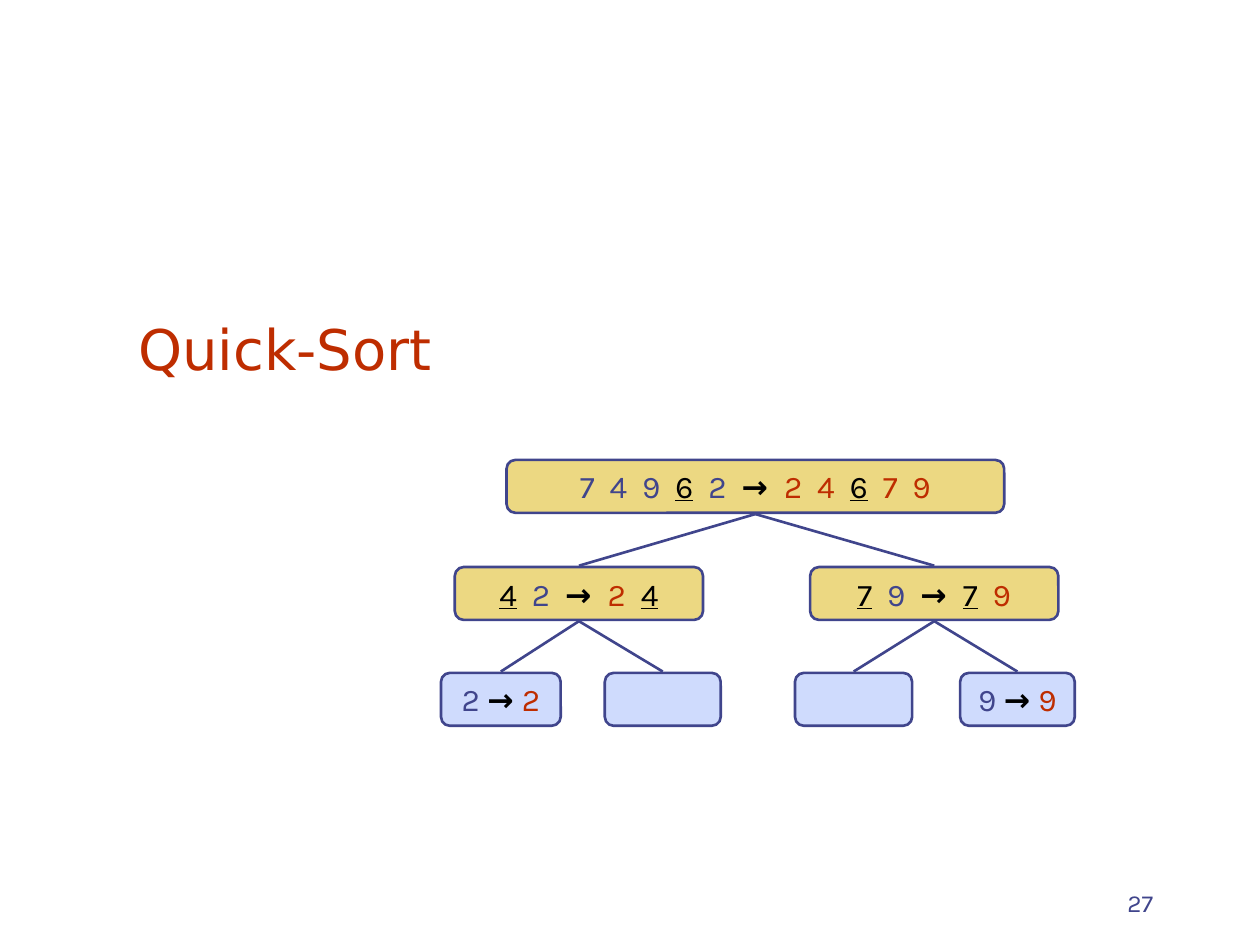
from dataclasses import dataclass

import lxml.etree
import pptx
import pptx.dml.color
import pptx.enum.shapes
import pptx.enum.text
import pptx.oxml.ns
import pptx.util

Inches = pptx.util.Inches
Align = pptx.enum.text.PP_ALIGN
Anchor = pptx.enum.text.MSO_ANCHOR

COLORS = {
    "indigo": "40458C",
    "red": "BE2D00",
    "black": "000000",
    "gold": "ECD882",
    "pale blue": "CFDBFD",
}
ROLES = {
    "input": {"color": "indigo"},
    "output": {"color": "red"},
    "pivot": {"color": "black", "underline": True},
    "arrow": {"color": "black", "bold": True},
}
LEVEL_TOPS = (3.65, 4.5, 5.34)
NODE_HEIGHT = 0.42
EDGE_GAP = 0.01


@dataclass(frozen=True)
class Node:
    left: float
    width: float
    level: int
    fill: str
    runs: tuple = ()
    children: tuple = ()

    @property
    def center(self) -> float:
        return self.left + self.width / 2

    @property
    def top(self) -> float:
        return LEVEL_TOPS[self.level]


TREE = Node(
    4.02, 3.95, 0, "gold",
    (("7  4  9  ", "input"), ("6", "pivot"), ("  2  ", "input"), ("→  ", "arrow"),
     ("2  4  ", "output"), ("6", "pivot"), ("  7  9", "output")),
    (
        Node(
            3.61, 1.97, 1, "gold",
            (("4", "pivot"), ("  2  ", "input"), ("→  ", "arrow"),
             ("2  ", "output"), ("4", "pivot")),
            (
                Node(3.5, 0.95, 2, "pale blue",
                     (("2 ", "input"), ("→ ", "arrow"), ("2", "output"))),
                Node(4.8, 0.92, 2, "pale blue"),
            ),
        ),
        Node(
            6.43, 1.97, 1, "gold",
            (("7", "pivot"), ("  9  ", "input"), ("→  ", "arrow"),
             ("7", "pivot"), ("  9", "output")),
            (
                Node(6.31, 0.93, 2, "pale blue"),
                Node(7.62, 0.91, 2, "pale blue",
                     (("9 ", "input"), ("→ ", "arrow"), ("9", "output"))),
            ),
        ),
    ),
)


def rgb(name: str) -> pptx.dml.color.RGBColor:
    return pptx.dml.color.RGBColor.from_string(COLORS[name])


def add_text(paragraph, text: str, *, color: str, size: int = 18, font: str = "Karla",
             bold: bool = False, underline: bool = False) -> None:
    run = paragraph.add_run()
    run.text = text
    run.font.name = font
    run.font.size = pptx.util.Pt(size)
    run.font.bold = bold
    run.font.underline = underline
    run.font.color.rgb = rgb(color)


def add_label(slide, text: str, left: float, top: float, width: float, height: float,
              alignment: Align, **text_format) -> None:
    shape = slide.shapes.add_textbox(Inches(left), Inches(top), Inches(width), Inches(height))
    shape.text_frame.word_wrap = True
    shape.text_frame.vertical_anchor = Anchor.BOTTOM
    paragraph = shape.text_frame.paragraphs[0]
    paragraph.alignment = alignment
    add_text(paragraph, text, **text_format)


def style_line(line) -> None:
    line.color.rgb = rgb("indigo")
    line.width = pptx.util.Pt(1.5)


def draw_node(slide, node: Node) -> None:
    shape = slide.shapes.add_shape(
        pptx.enum.shapes.MSO_SHAPE.ROUNDED_RECTANGLE,
        Inches(node.left), Inches(node.top), Inches(node.width), Inches(NODE_HEIGHT))
    shape.adjustments[0] = 0.167
    shape.shadow.inherit = False
    shape.fill.solid()
    shape.fill.fore_color.rgb = rgb(node.fill)
    style_line(shape.line)
    shape.text_frame.word_wrap = False
    shape.text_frame.vertical_anchor = Anchor.MIDDLE
    paragraph = shape.text_frame.paragraphs[0]
    paragraph.alignment = Align.CENTER
    for text, role in node.runs:
        add_text(paragraph, text, **ROLES[role])


def draw_edge(slide, parent: Node, child: Node) -> None:
    connector = slide.shapes.add_connector(
        pptx.enum.shapes.MSO_CONNECTOR.STRAIGHT,
        Inches(parent.center), Inches(parent.top + NODE_HEIGHT + EDGE_GAP),
        Inches(child.center), Inches(child.top - EDGE_GAP))
    style_line(connector.line)
    lxml.etree.SubElement(connector._element.spPr, pptx.oxml.ns.qn("a:effectLst"))


def draw_tree(slide, node: Node) -> None:
    draw_node(slide, node)
    for child in node.children:
        draw_edge(slide, node, child)
        draw_tree(slide, child)


def main() -> None:
    presentation = pptx.Presentation()
    presentation.slide_width = Inches(10)
    presentation.slide_height = Inches(7.5)
    slide = presentation.slides.add_slide(presentation.slide_layouts[6])
    add_label(slide, "27", 7.17, 6.83, 2.08, 0.5, Align.RIGHT, color="indigo", size=14)
    add_label(slide, "Quick-Sort", 1, 1.83, 8.5, 1.25, Align.LEFT,
              color="red", size=32, font="DejaVu Sans")
    draw_tree(slide, TREE)
    presentation.save("out.pptx")


if __name__ == "__main__":
    main()
